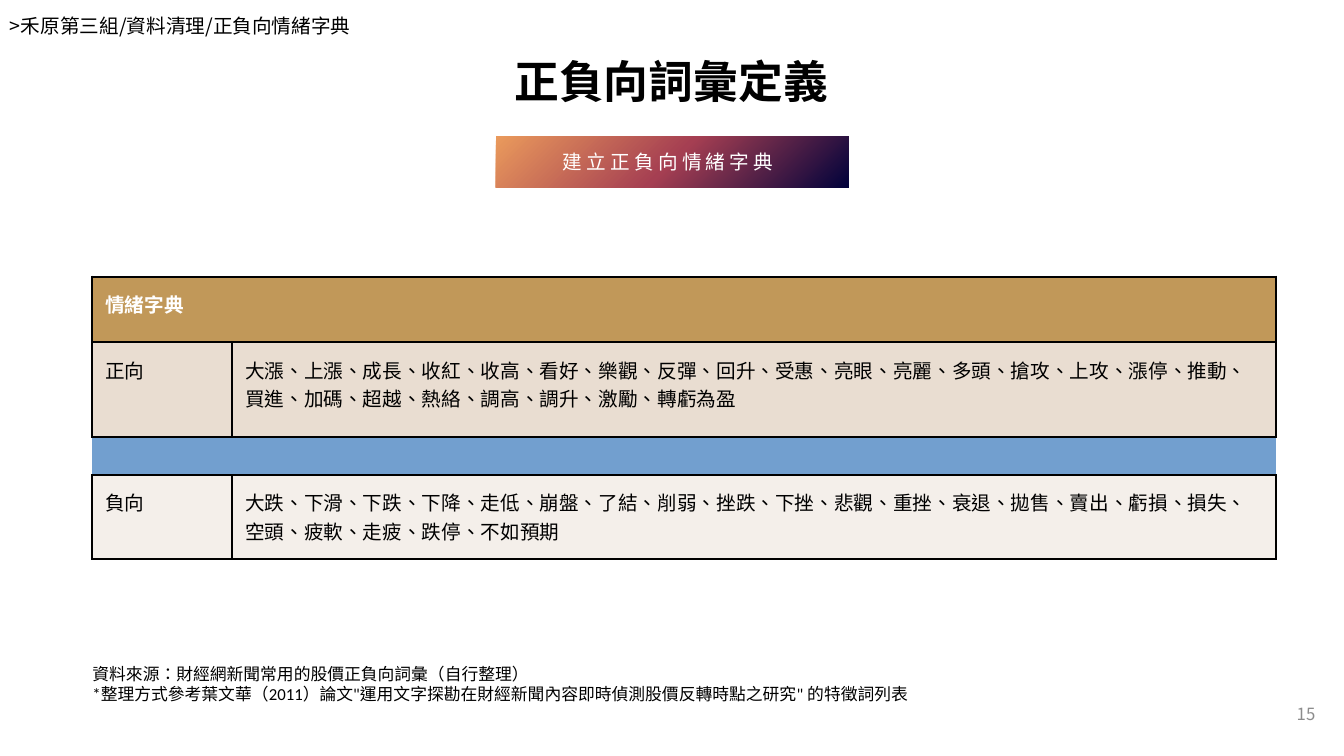
"""Build the slide that defines the positive and negative sentiment vocabulary."""
from dataclasses import dataclass

from lxml.etree import SubElement
from pptx import Presentation
from pptx.dml.color import RGBColor
from pptx.enum.shapes import MSO_SHAPE
from pptx.enum.text import MSO_ANCHOR, MSO_AUTO_SIZE, PP_ALIGN
from pptx.oxml.ns import qn
from pptx.slide import Slide
from pptx.util import Cm, Pt


@dataclass(frozen=True)
class Theme:
    sans: str = "Noto Sans CJK TC"
    note: str = "Calibri"
    language: str = "zh-TW"
    black: str = "000000"
    white: str = "FFFFFF"
    grey: str = "8C8C8C"
    header: str = "C19859"
    positive: str = "E9DDD1"
    separator: str = "729FCF"
    negative: str = "F4EFEA"
    gradient: tuple[str, ...] = ("01023B", "A53F52", "EA9A5C")
    title_size: float = 32
    body_size: float = 14
    small_size: float = 12


THEME = Theme()


@dataclass(frozen=True)
class TextStyle:
    size: float = THEME.body_size
    color: str = THEME.black
    font: str = THEME.sans
    bold: bool = False
    align: PP_ALIGN = PP_ALIGN.LEFT
    spacing: int = 0


@dataclass(frozen=True)
class Box:
    left: float
    top: float
    width: float
    height: float

    def lengths(self) -> tuple[Cm, Cm, Cm, Cm]:
        return Cm(self.left), Cm(self.top), Cm(self.width), Cm(self.height)


@dataclass(frozen=True)
class Label:
    text: str
    box: Box
    style: TextStyle
    inset: tuple[float, float] = (0.25, 0.25)
    anchor: MSO_ANCHOR = MSO_ANCHOR.TOP
    wrap: bool = True
    auto_size: MSO_AUTO_SIZE = MSO_AUTO_SIZE.NONE


@dataclass(frozen=True)
class Row:
    texts: tuple[str, ...]
    height: float
    fill: str
    style: TextStyle = TextStyle()
    side_borders: bool = True


TITLE = Label("正負向詞彙定義", Box(1.14, 0.97, 31.55, 2.13),
              TextStyle(THEME.title_size, bold=True, align=PP_ALIGN.CENTER),
              (0.33, 0.33), MSO_ANCHOR.MIDDLE)
BANNER = Label("建立正負向情緒字典 ", Box(12.5, 3.43, 8.89, 1.3),
               TextStyle(color=THEME.white, align=PP_ALIGN.CENTER, spacing=300),
               (0.25, 0.13), MSO_ANCHOR.MIDDLE)
LABELS = (
    Label("資料來源：財經網新聞常用的股價正負向詞彙（自行整理）\n"
          "*整理方式參考葉文華（2011）論文\"運用文字探勘在財經新聞內容即時偵測股價反轉時點之研究\" 的特徵詞列表",
          Box(2.08, 16.59, 30.3, 1.27), TextStyle(THEME.small_size, font=THEME.note),
          (0.25, 0.13), auto_size=MSO_AUTO_SIZE.SHAPE_TO_FIT_TEXT),
    Label("15", Box(31.37, 17.27, 2.03, 1.45),
          TextStyle(THEME.small_size, THEME.grey, align=PP_ALIGN.RIGHT),
          anchor=MSO_ANCHOR.MIDDLE),
    Label(">禾原第三組/資料清理/正負向情緒字典",
          Box(0, 0.1, 9.88, 1.12), TextStyle(), wrap=False),
)
TABLE_LEFT, TABLE_TOP = 2.32, 6.97
COLUMN_WIDTHS = (3.53, 26.31)
ROWS = (
    Row(("情緒字典",), 1.65, THEME.header, TextStyle(color=THEME.white, bold=True)),
    Row(("正向", "大漲、上漲、成長、收紅、收高、看好、樂觀、反彈、回升、受惠、亮眼、亮麗、多頭、"
         "搶攻、上攻、漲停、推動、買進、加碼、超越、熱絡、調高、調升、激勵、轉虧為盈"),
        2.39, THEME.positive),
    Row(("",), 0.96, THEME.separator, side_borders=False),
    Row(("負向", "大跌、下滑、下跌、下降、走低、崩盤、了結、削弱、挫跌、下挫、悲觀、重挫、衰退、"
         "拋售、賣出、虧損、損失、空頭、疲軟、走疲、跌停、不如預期"),
        2.11, THEME.negative),
)


def format_text(text_frame, style: TextStyle) -> None:
    """Apply one style to every run of a text frame."""
    for paragraph in text_frame.paragraphs:
        paragraph.alignment = style.align
        for run in paragraph.runs:
            run.font.size = Pt(style.size)
            run.font.bold = style.bold
            run.font.color.rgb = RGBColor.from_string(style.color)
            run.font.name = style.font
            properties = run.font._element
            properties.set("lang", THEME.language)
            SubElement(properties, qn("a:ea")).set("typeface", style.font)
            if style.spacing:
                properties.set("spc", str(style.spacing))


def fill_label(shape, label: Label) -> None:
    """Place a shape and set its text, insets and style."""
    shape.left, shape.top, shape.width, shape.height = label.box.lengths()
    frame = shape.text_frame
    frame.text = label.text
    frame.word_wrap = label.wrap
    frame.auto_size = label.auto_size
    frame.vertical_anchor = label.anchor
    frame.margin_left = frame.margin_right = Cm(label.inset[0])
    frame.margin_top = frame.margin_bottom = Cm(label.inset[1])
    format_text(frame, label.style)


def add_banner(slide: Slide, label: Label) -> None:
    """Add the banner with a gradient that spreads from its lower right corner."""
    shape = slide.shapes.add_shape(MSO_SHAPE.RECTANGLE, *label.box.lengths())
    shape.shadow.inherit = False
    shape.line.fill.background()
    shape.fill.gradient()
    gradient = shape._element.spPr.find(qn("a:gradFill"))
    for child in list(gradient):
        gradient.remove(child)
    stops = SubElement(gradient, qn("a:gsLst"))
    for index, color in enumerate(THEME.gradient):
        stop = SubElement(stops, qn("a:gs"), pos=str(index * 50000))
        SubElement(stop, qn("a:srgbClr"), val=color)
    spread = SubElement(gradient, qn("a:path"))
    spread.set("path", "circle")
    SubElement(spread, qn("a:fillToRect"), l="100000", t="100000")
    fill_label(shape, label)


def format_cell(cell, row: Row) -> None:
    """Set the borders and the fill of a cell."""
    properties = cell._tc.get_or_add_tcPr()
    for side in ("L", "R", "T", "B"):
        line = SubElement(properties, qn(f"a:ln{side}"), w=str(Pt(1.5)))
        if side in "TB" or row.side_borders:
            fill = SubElement(line, qn("a:solidFill"))
            SubElement(fill, qn("a:srgbClr"), val=THEME.black)
        else:
            SubElement(line, qn("a:noFill"))
    cell.fill.solid()
    cell.fill.fore_color.rgb = RGBColor.from_string(row.fill)


def add_dictionary(slide: Slide) -> None:
    """Add the sentiment dictionary table."""
    box = Box(TABLE_LEFT, TABLE_TOP, sum(COLUMN_WIDTHS), sum(row.height for row in ROWS))
    table = slide.shapes.add_table(len(ROWS), len(COLUMN_WIDTHS), *box.lengths()).table
    table.first_row = table.horz_banding = False
    for column, width in zip(table.columns, COLUMN_WIDTHS):
        column.width = Cm(width)
    for index, row in enumerate(ROWS):
        table.rows[index].height = Cm(row.height)
        cells = list(table.rows[index].cells)
        if len(row.texts) == 1:
            cells[0].merge(cells[-1])
        for cell in cells:
            format_cell(cell, row)
        for cell, text in zip(cells, row.texts):
            margin = Cm(0.33 if text else 0)
            cell.margin_left = cell.margin_right = margin
            cell.margin_top = cell.margin_bottom = margin
            cell.text_frame.text = text
            format_text(cell.text_frame, row.style)


def main() -> None:
    """Build and save the presentation."""
    presentation = Presentation()
    presentation.slide_width, presentation.slide_height = Cm(33.87), Cm(19.05)
    slide = presentation.slides.add_slide(presentation.slide_layouts[5])
    fill_label(slide.shapes.title, TITLE)
    add_dictionary(slide)
    add_banner(slide, BANNER)
    for label in LABELS:
        fill_label(slide.shapes.add_textbox(*label.box.lengths()), label)
    presentation.save("out.pptx")


if __name__ == "__main__":
    main()
